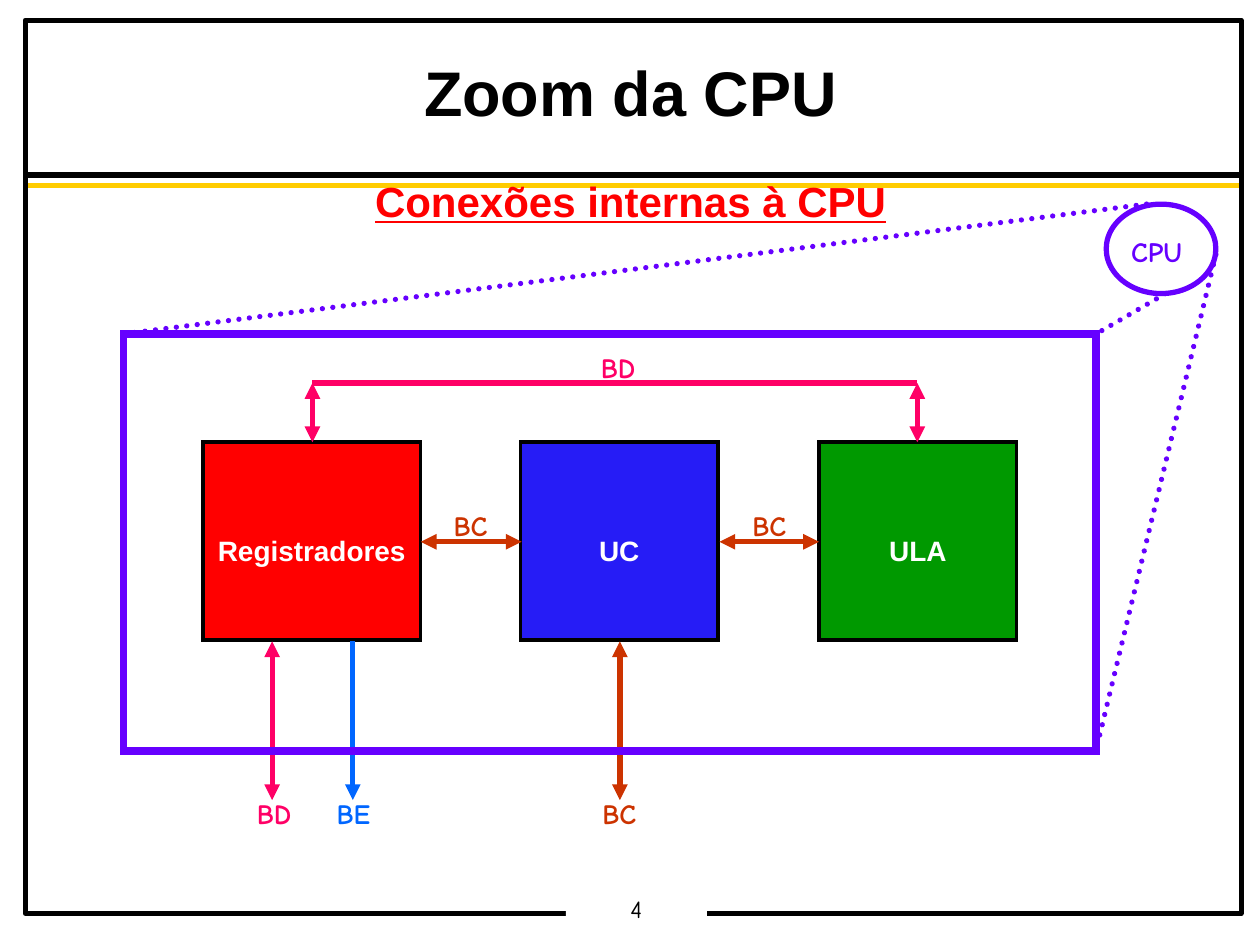
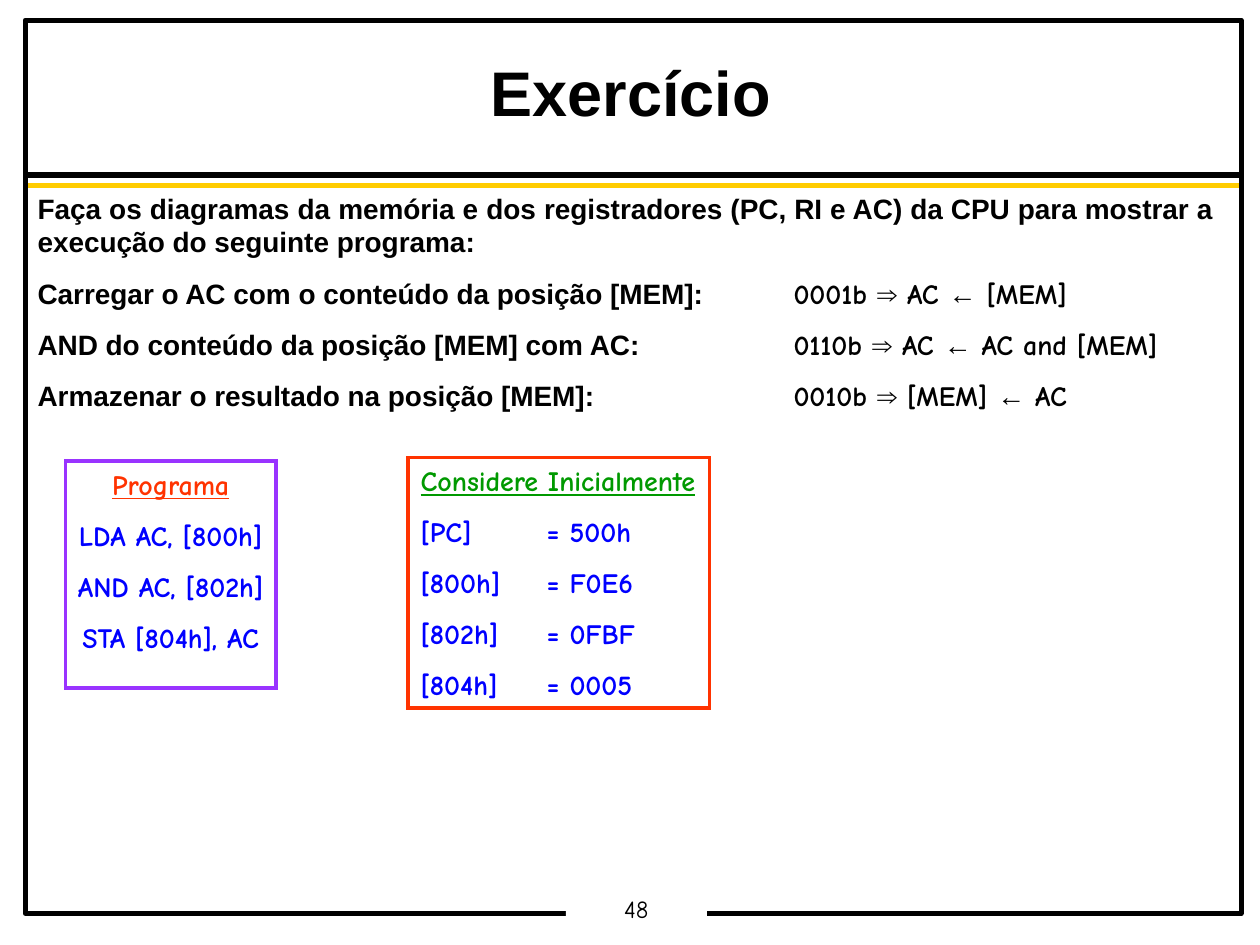
"""Builds two slides on the inside of a CPU and a small program exercise."""
from pptx import Presentation
from pptx.dml.color import RGBColor
from pptx.enum.dml import MSO_LINE
from pptx.enum.shapes import MSO_CONNECTOR, MSO_SHAPE
from pptx.enum.text import MSO_ANCHOR, PP_ALIGN
from pptx.oxml.ns import qn
from pptx.util import Pt
from lxml.etree import SubElement

PX = 9144
BLACK = RGBColor(0, 0, 0)
WHITE = RGBColor(255, 255, 255)
GOLD = RGBColor(0xFF, 0xCC, 0x00)
RED = RGBColor(0xFF, 0, 0)
NAVY = RGBColor(0x26, 0x1C, 0xF6)
GREEN = RGBColor(0, 0x99, 0)
PINK = RGBColor(0xFF, 0, 0x66)
RUST = RGBColor(0xCC, 0x33, 0)
AZURE = RGBColor(0, 0x66, 0xFF)
PURPLE = RGBColor(0x66, 0, 0xFF)
VIOLET = RGBColor(0x99, 0x33, 0xFF)
ORANGE = RGBColor(0xFF, 0x33, 0)
BLUE = RGBColor(0, 0, 0xFF)
SANS, COMIC = "Arial", "Comic Neue"


def box(slide, at, rows=(), size=16, face=COMIC, fill=None, edge=None, width=2, join="miter",
        kind=MSO_SHAPE.RECTANGLE, align=PP_ALIGN.CENTER, wrap=False, pad=(10, 5), lead=None, tab=None):
    place = [n * PX for n in at]
    if fill is None and edge is None:
        shape = slide.shapes.add_textbox(*place)
    else:
        shape = slide.shapes.add_shape(kind, *place)
        shape.shadow.inherit = False
        if fill is None:
            shape.fill.background()
        else:
            shape.fill.solid()
            shape.fill.fore_color.rgb = fill
        if edge is None:
            shape.line.fill.background()
        else:
            shape.line.color.rgb = edge
            shape.line.width = Pt(width)
            SubElement(shape.element.spPr.find(qn("a:ln")), qn(f"a:{join}"))
    frame = shape.text_frame
    frame.word_wrap = wrap
    frame.vertical_anchor = MSO_ANCHOR.TOP
    frame.margin_left = frame.margin_right = pad[0] * PX
    frame.margin_top = frame.margin_bottom = pad[1] * PX
    for i, (text, tint, under) in enumerate(rows):
        para = frame.add_paragraph() if i else frame.paragraphs[0]
        para.alignment = align
        para.space_before = Pt(10 if i else 0)
        if lead:
            para.line_spacing = lead
        if tab:
            stops = SubElement(para._p.get_or_add_pPr(), qn("a:tabLst"))
            SubElement(stops, qn("a:tab"), pos=str(tab * PX), algn="l")
        for part in [(text, face)] if isinstance(text, str) else text:
            run = para.add_run()
            run.text, run.font.name = part
            run.font.size = Pt(size)
            run.font.bold = True
            run.font.underline = under
            run.font.color.rgb = tint
    return shape


def wire(slide, ends, tint, tips=(), dots=False):
    line = slide.shapes.add_connector(MSO_CONNECTOR.STRAIGHT, *[n * PX for n in ends])
    line.line.color.rgb = tint
    line.line.width = Pt(3)
    props = line.element.spPr
    pen = props.find(qn("a:ln"))
    if dots:
        line.line.dash_style = MSO_LINE.ROUND_DOT
        pen.set("cap", "rnd")
    for tip in tips:
        SubElement(pen, qn(f"a:{tip}"), type="triangle")
    SubElement(props, qn("a:effectLst"))


deck = Presentation()
deck.slide_width, deck.slide_height = 1000 * PX, 750 * PX
pages = []
for title, number in [("Zoom da CPU", "4"), ("Exercício", "48")]:
    page = deck.slides.add_slide(deck.slide_layouts[6])
    wire(page, (20, 139, 984, 139), BLACK)
    wire(page, (20, 147, 984, 147), GOLD)
    box(page, (20, 16, 965, 709), edge=BLACK, width=2.83, join="round")
    foot = box(page, (449, 709, 112, 27), [(number, BLACK, False)], 14, fill=WHITE, pad=(7, 3), lead=0.9)
    foot.text_frame.paragraphs[0].runs[0].font.bold = False
    box(page, (28, 44, 945, 62), [(title, BLACK, False)], 36, SANS, wrap=True, pad=(7, 3), lead=0.95)
    pages.append(page)
zoom, task = pages

box(zoom, (49, 139, 903, 513), [("Conexões internas à CPU", RED, True)], 24, SANS, wrap=True, lead=0.9)
units = [("Registradores", 161, 173, RED), ("UC", 413, 157, NAVY), ("ULA", 650, 157, GREEN)]
for name, left, wide, fill in units:
    unit = box(zoom, (left, 351, wide, 157), [(name, WHITE, False)], face=SANS, fill=fill, edge=BLACK)
    unit.text_frame.vertical_anchor = MSO_ANCHOR.MIDDLE
    unit.text_frame.margin_top = 20 * PX

BOTH = ("headEnd", "tailEnd")
buses = [
    ((248, 304, 728, 304), PINK, ()),
    ((248, 304, 248, 351), PINK, BOTH),
    ((728, 304, 728, 351), PINK, BOTH),
    ((414, 430, 334, 430), RUST, BOTH),
    ((650, 430, 571, 430), RUST, BOTH),
    ((492, 509, 492, 635), RUST, BOTH),
    ((280, 509, 280, 635), AZURE, BOTH[1:]),
    ((216, 509, 216, 635), PINK, BOTH),
]
for ends, tint, tips in buses:
    wire(zoom, ends, tint, tips)
tags = [("BD", 467, 273, PINK), ("BC", 350, 399, RUST), ("BC", 587, 399, RUST),
        ("BC", 468, 627, RUST), ("BD", 194, 627, PINK), ("BE", 257, 627, AZURE)]
for name, left, top, tint in tags:
    box(zoom, (left, top, 47, 37), [(name, tint, False)])

box(zoom, (98, 265, 772, 331), edge=PURPLE, width=4.5)
box(zoom, (883, 181, 70, 37), [("CPU", PURPLE, False)])
box(zoom, (878, 162, 87, 71), edge=PURPLE, width=3, kind=MSO_SHAPE.OVAL)
for ends in [(910, 162, 98, 265), (925, 233, 870, 265), (965, 202, 870, 595)]:
    wire(zoom, ends, PURPLE, dots=True)

steps = [
    ("Carregar o AC com o conteúdo da posição [MEM]:", "0001b ", " AC ", " [MEM]"),
    ("AND do conteúdo da posição [MEM] com AC:", "0110b ", " AC ", " AC and [MEM]"),
    ("Armazenar o resultado na posição [MEM]:", "0010b ", " [MEM] ", " AC"),
]
rows = [("Faça os diagramas da memória e dos registradores (PC, RI e AC) da CPU "
         "para mostrar a execução do seguinte programa:", BLACK, False)]
for text, code, goal, origin in steps:
    parts = [(text + "\t", SANS), (code, COMIC), ("⇒", SANS), (goal, COMIC), ("←", SANS), (origin, COMIC)]
    rows.append((parts, BLACK, False))
body = box(task, (20, 147, 953, 185), rows, face=SANS, align=PP_ALIGN.LEFT, wrap=True, tab=600)
body.text_frame.paragraphs[0].alignment = PP_ALIGN.JUSTIFY

code = ["LDA AC, [800h]", "AND AC, [802h]", "STA [804h], AC"]
rows = [("Programa", ORANGE, True)] + [(text, BLUE, False) for text in code]
box(task, (52, 366, 167, 180), rows, edge=VIOLET)

state = [("PC", "500h"), ("800h", "F0E6"), ("802h", "0FBF"), ("804h", "0005")]
rows = [("Considere Inicialmente", GREEN, True)]
rows += [(f"[{cell}]\t= {value}", BLUE, False) for cell, value in state]
start = box(task, (324, 363, 239, 199), rows, edge=ORANGE, align=PP_ALIGN.LEFT, wrap=True, tab=100)
start.text_frame.margin_right = 0

deck.save("out.pptx")
